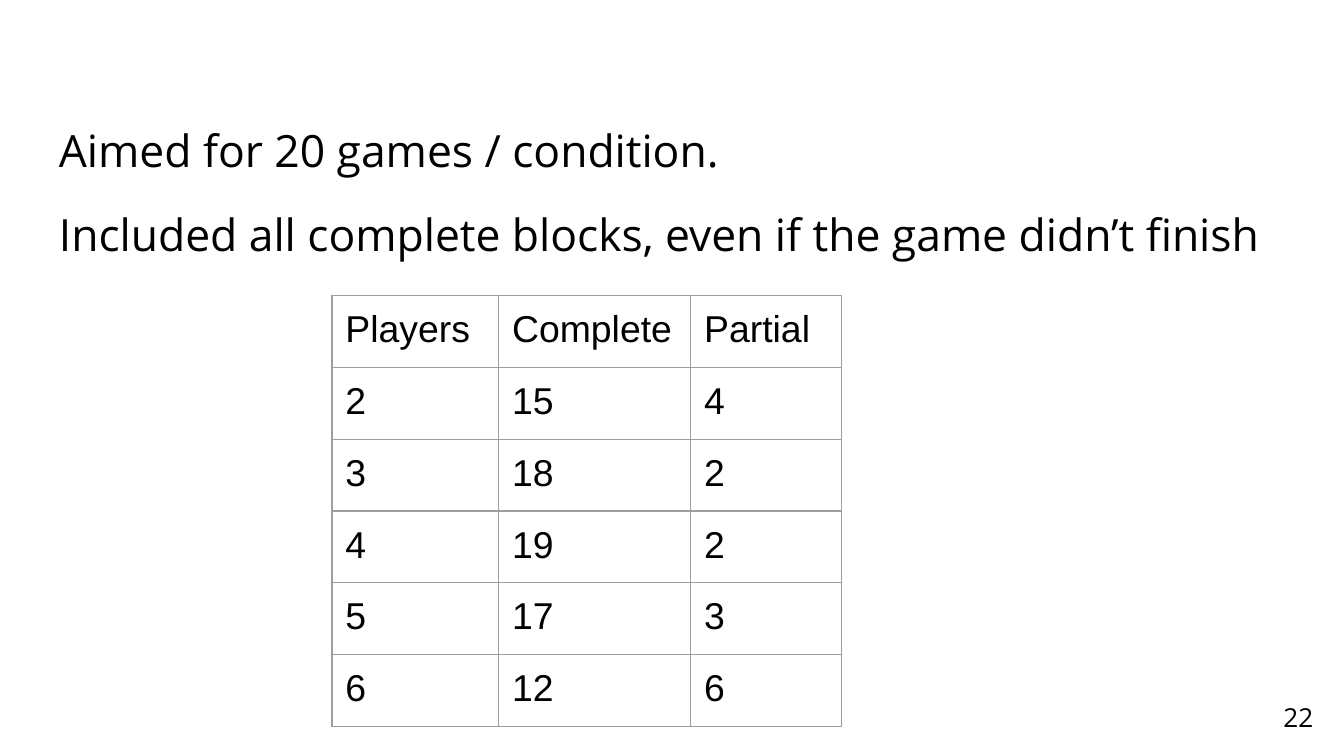
from lxml.etree import SubElement as Sub
from pptx import Presentation
from pptx.dml.color import RGBColor as RGB
from pptx.enum.text import MSO_ANCHOR as Anchor, PP_ALIGN as Align
from pptx.oxml.ns import qn
from pptx.util import Inches, Pt

NOTES = ["Aimed for 20 games / condition.",
         "Included all complete blocks, even if the game didn’t finish"]
PAGE = "22"
GAMES = [
    ("Players", "Complete", "Partial"),
    ("2", "15", "4"),
    ("3", "18", "2"),
    ("4", "19", "2"),
    ("5", "17", "3"),
    ("6", "12", "6"),
]
COLS = (1.24, 1.43, 1.12)
ROW = 0.5
THEME = {
    "ink": "000000", "paper": "FFFFFF", "rule": "9E9E9E", "width": 0.75,
    "text": "Open Sans", "grid": "Arial",
    "body": 23.8, "page": 14, "cell": 20,
}
PAD = Inches(0.1)


def write(para, text, face, size):
    run = para.add_run()
    run.text = text
    run.font.name = THEME[face]
    run.font.size = Pt(THEME[size])
    run.font.color.rgb = RGB.from_string(THEME["ink"])


def add_text(slide, area, lines, size, align=Align.LEFT, anchor=Anchor.TOP):
    frame = slide.shapes.add_textbox(*map(Inches, area)).text_frame
    frame.word_wrap = True
    frame.vertical_anchor = anchor
    frame.margin_left = frame.margin_right = PAD
    frame.margin_top = frame.margin_bottom = PAD
    for i, line in enumerate(lines):
        para = frame.add_paragraph() if i else frame.paragraphs[0]
        para.alignment = align
        para.line_spacing = 1.15
        if i:
            para.space_before = para.space_after = Pt(12)
        write(para, line, "text", size)


def style_cell(cell):
    cell.margin_left = cell.margin_right = PAD
    cell.margin_top = cell.margin_bottom = PAD
    props = cell._tc.get_or_add_tcPr()
    for side in ("lnL", "lnR", "lnT", "lnB"):
        line = Sub(props, qn(f"a:{side}"), w=str(Pt(THEME["width"])))
        fill = Sub(line, qn("a:solidFill"))
        Sub(fill, qn("a:srgbClr"), val=THEME["rule"])
    cell.fill.solid()
    cell.fill.fore_color.rgb = RGB.from_string(THEME["paper"])


def add_games(slide, area):
    shape = slide.shapes.add_table(len(GAMES), len(COLS), *map(Inches, area))
    table = shape.table
    table.first_row = table.horz_banding = False
    for col, width in zip(table.columns, COLS):
        col.width = Inches(width)
    for row, texts in zip(table.rows, GAMES):
        row.height = Inches(ROW)
        for cell, text in zip(row.cells, texts):
            style_cell(cell)
            write(cell.text_frame.paragraphs[0], text, "grid", "cell")
    shape.width, shape.height = map(Inches, area[2:])


def main():
    deck = Presentation()
    deck.slide_width = Inches(10)
    deck.slide_height = deck.slide_width * 9 // 16
    slide = deck.slides.add_slide(deck.slide_layouts[6])
    add_text(slide, (0.34, 0.76, 9.32, 1.29), NOTES, "body")
    add_text(slide, (9.27, 5.1, 0.6, 0.43), [PAGE], "page",
             Align.RIGHT, Anchor.MIDDLE)
    add_games(slide, (2.47, 2.2, 3.28, 3.28))
    deck.save("out.pptx")


if __name__ == "__main__":
    main()
